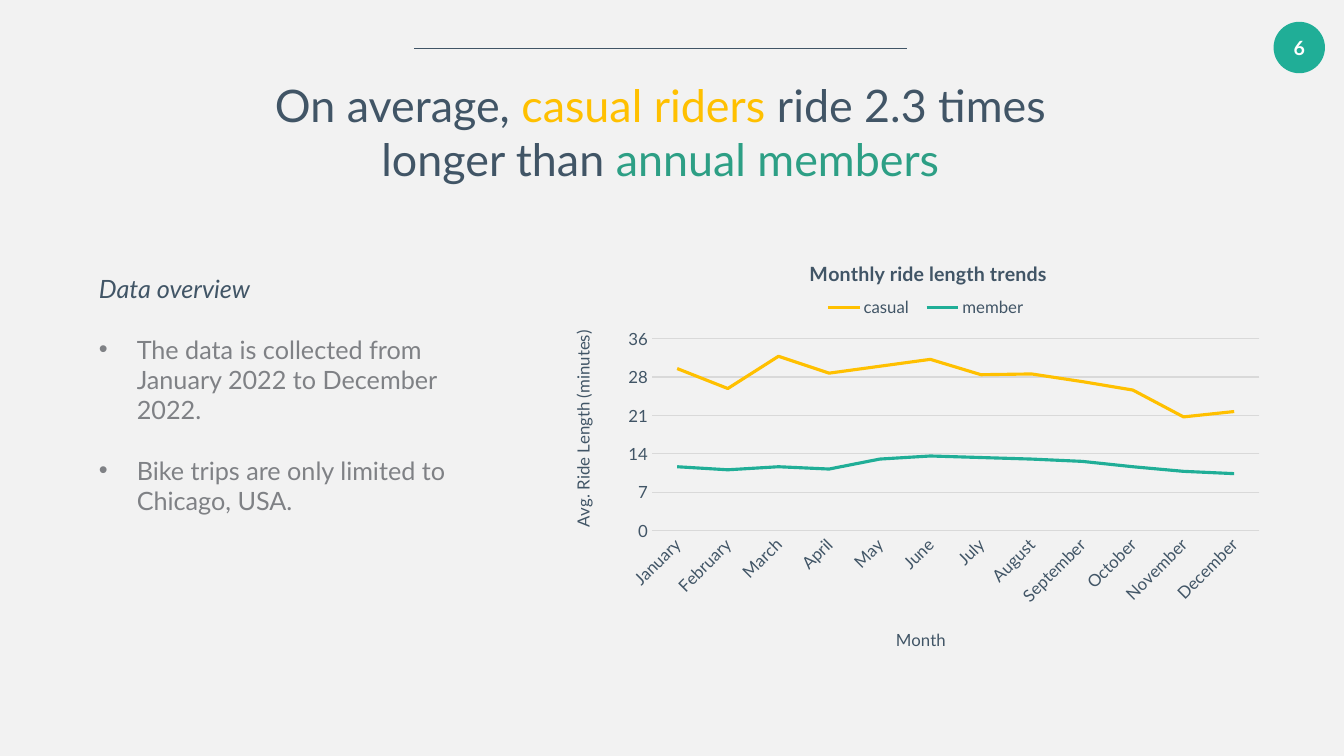
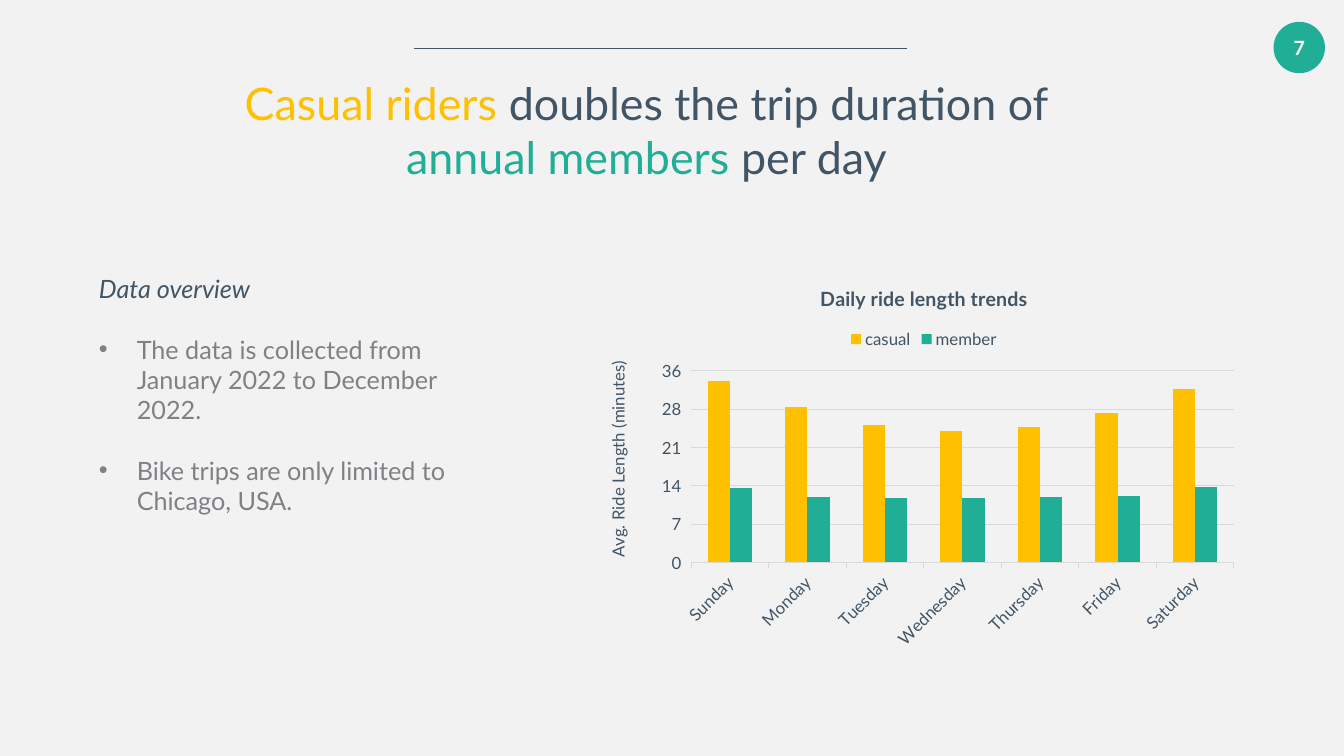
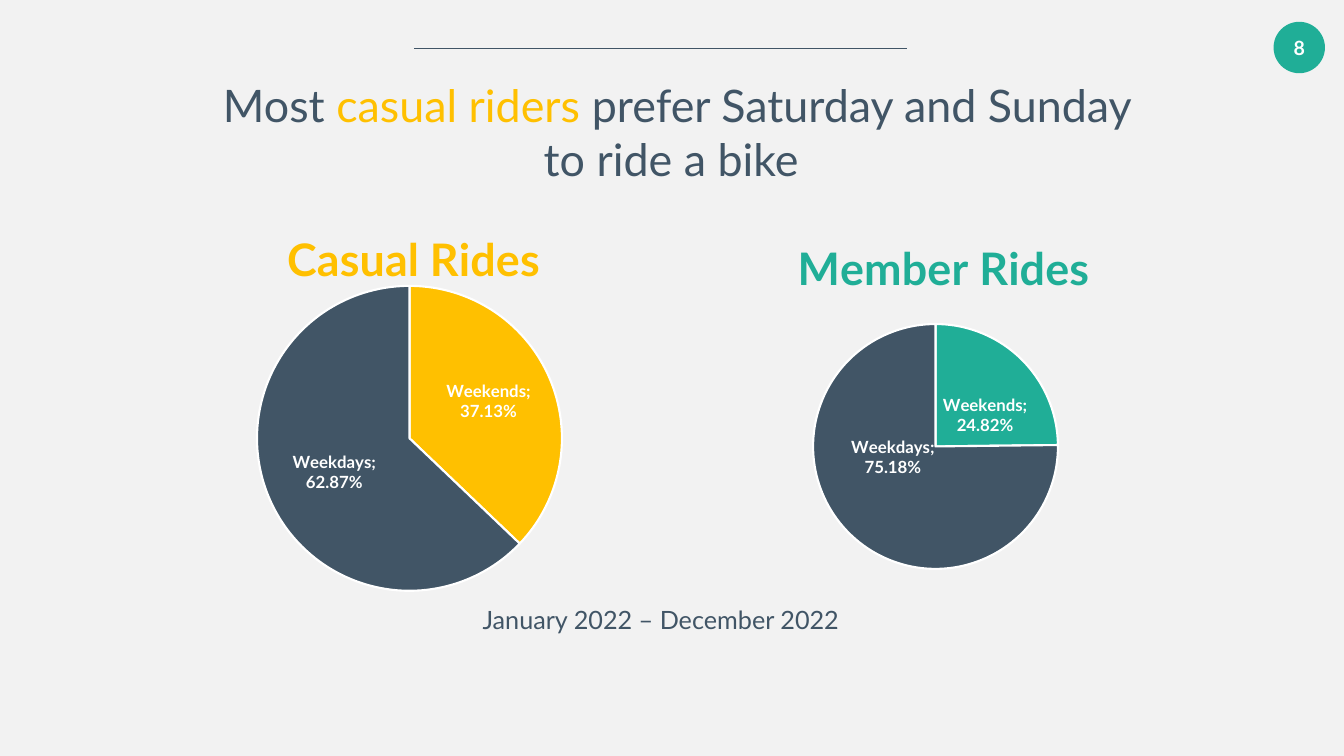
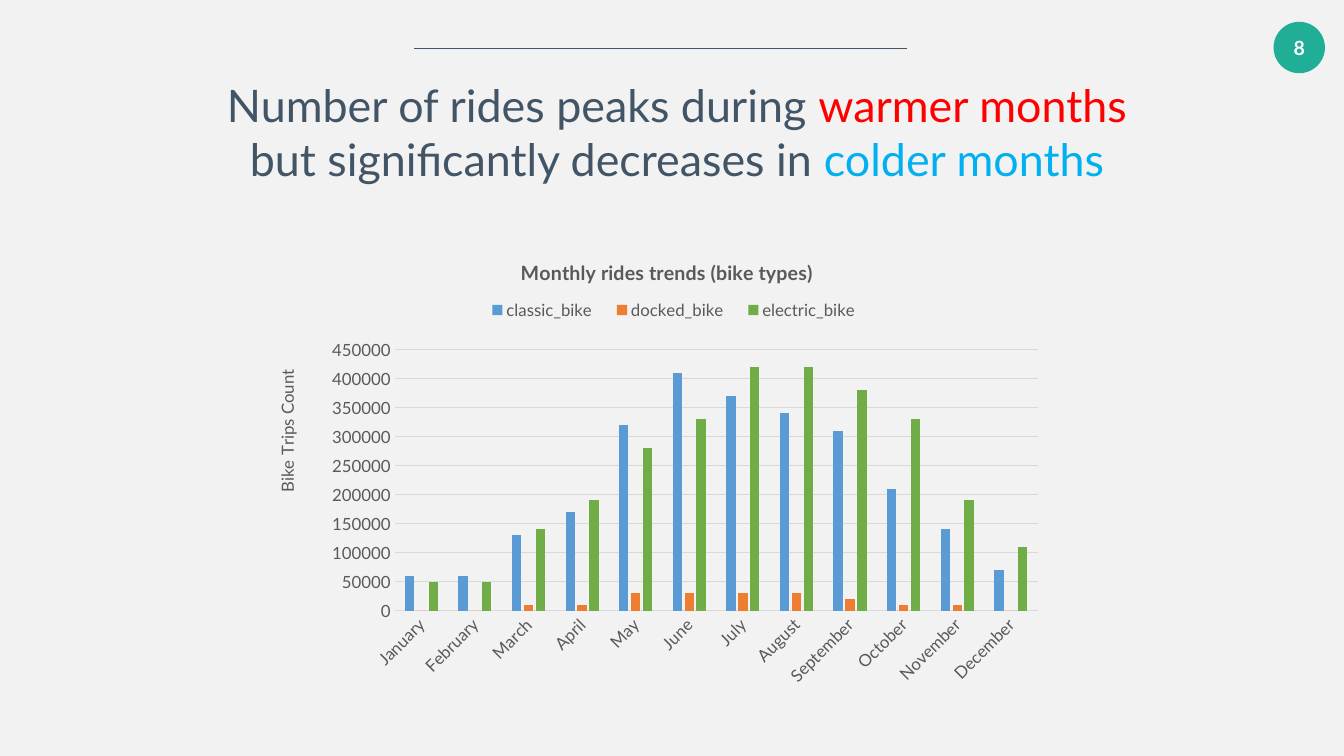
"""Build four slides on the ride habits of casual riders and annual members."""
from copy import deepcopy

from lxml import etree
from pptx import Presentation
from pptx.chart.data import CategoryChartData
from pptx.dml.color import RGBColor
from pptx.enum.chart import XL_CHART_TYPE, XL_LABEL_POSITION, XL_LEGEND_POSITION, XL_TICK_MARK
from pptx.enum.shapes import MSO_CONNECTOR, MSO_SHAPE
from pptx.enum.text import MSO_ANCHOR, PP_ALIGN
from pptx.oxml.ns import qn
from pptx.util import Pt

LINE, COLUMN, PIE = XL_CHART_TYPE.LINE, XL_CHART_TYPE.COLUMN_CLUSTERED, XL_CHART_TYPE.PIE
TICK_NONE, TICK_OUT = XL_TICK_MARK.NONE, XL_TICK_MARK.OUTSIDE
LEGEND_TOP = XL_LEGEND_POSITION.TOP
LABEL_CENTER = XL_LABEL_POSITION.CENTER
CENTER, LEFT, MIDDLE = PP_ALIGN.CENTER, PP_ALIGN.LEFT, MSO_ANCHOR.MIDDLE

FONT = "Lato"
COLORS = {
    "paper": "F2F2F2", "slate": "415566", "yellow": "FFC000", "teal": "20AE97",
    "green": "2D9F85", "gray": "7F8185", "dark": "595959", "grid": "D9D9D9",
    "white": "FFFFFF", "red": "FF0000", "sky": "00B0F0",
    "blue": "5B9BD5", "orange": "ED7D31", "leaf": "70AD47",
}

MONTHS = ["January", "February", "March", "April", "May", "June", "July",
          "August", "September", "October", "November", "December"]
DAYS = ["Sunday", "Monday", "Tuesday", "Wednesday", "Thursday", "Friday", "Saturday"]
OVERVIEW = ["The data is collected from January 2022 to December 2022.",
            "Bike trips are only limited to Chicago, USA."]
OVERVIEW_AT = (63.6, 191.9, 298, 181.5)
PERIOD = "January 2022 – December 2022"
PERIOD_AT = (126, 428.2, 692, 29)
MINUTES = {"title": "Avg. Ride Length (minutes)", "top": 0.025, "unit": 0.005, "format": "[m]"}
TRIPS = {"title": "Bike Trips Count", "top": 450000, "unit": 50000, "format": "General"}

MONTHLY_LENGTH = {
    "kind": LINE, "at": (404.6, 169.2, 504.7, 303.1), "title": "Monthly ride length trends",
    "ink": "slate", "categories": MONTHS, "axis": MINUTES, "category_title": "Month",
    "tick": TICK_NONE,
    "places": {"plot": (12.1, 24, 86, 45.2), "title": (33.9, 4.4),
               "legend": (35.3, 13.7, 31.1, 5.7), "value": (0.2, 21.3),
               "category": (46.2, 91.3)},
    "series": [
        ("casual", "yellow", [0.0211, 0.0185, 0.0227, 0.0205, 0.0214, 0.0223,
                              0.0203, 0.0204, 0.0194, 0.0183, 0.0148, 0.0155]),
        ("member", "teal", [0.0083, 0.0079, 0.0083, 0.008, 0.0093, 0.0097,
                            0.0095, 0.0093, 0.009, 0.0083, 0.0077, 0.0074]),
    ],
}
DAILY_LENGTH = {
    "kind": COLUMN, "at": (429.1, 192.2, 461.5, 276.5), "title": "Daily ride length trends",
    "ink": "slate", "categories": DAYS, "axis": MINUTES, "tick": TICK_OUT,
    "gap": 150, "overlap": 0,
    "places": {"plot": (14, 26.3, 84, 49.5), "title": (33.4, 3.1), "legend": (37.9, 14.5),
               "value": (0.3, 22.9)},
    "series": [
        ("casual", "yellow", [0.0237, 0.0203, 0.0179, 0.0172, 0.0177, 0.0195, 0.0226]),
        ("member", "teal", [0.0097, 0.0085, 0.0084, 0.0084, 0.0085, 0.0087, 0.0098]),
    ],
}
BIKE_TYPES = {
    "kind": COLUMN, "at": (191.5, 176.4, 560.9, 320.4),
    "title": "Monthly rides trends (bike types)", "ink": "dark", "categories": MONTHS,
    "axis": TRIPS, "tick": TICK_NONE, "gap": 219, "overlap": -27,
    "places": {"plot": (16.1, 22.9, 81.9, 58.2), "title": (31.7, 1.6),
               "legend": (26.1, 11.4, 51.1, 5.3), "value": (0.5, 26.6)},
    "series": [
        ("classic_bike", "blue", [60000, 60000, 130000, 170000, 320000, 410000,
                                  370000, 340000, 310000, 210000, 140000, 70000]),
        ("docked_bike", "orange", [0, 0, 10000, 10000, 30000, 30000,
                                   30000, 30000, 20000, 10000, 10000, 0]),
        ("electric_bike", "leaf", [50000, 50000, 140000, 190000, 280000, 330000,
                                   420000, 420000, 380000, 330000, 190000, 110000]),
    ],
}
CASUAL_PIE = {
    "kind": PIE, "at": (113.8, 136.8, 357.8, 297.4), "title": "Casual Rides", "ink": "yellow",
    "places": {"plot": (19.5, 22.6, 60.9, 73.4), "title": (23.9, 6.6)},
    "shares": [0.3713, 0.6287], "nudges": [(1.8, -1.9), (-1, 0.8)],
}
MEMBER_PIE = {
    "kind": PIE, "at": (472.3, 136.8, 393.1, 297.4), "title": "Member Rides", "ink": "teal",
    "places": {"plot": (27.6, 31.8, 44.5, 58.9), "title": (23.3, 8.8)},
    "shares": [0.2482, 0.7518], "nudges": [(1.2, 2.8), (0.1, -7.9)],
}

SLIDES = [
    {"number": "6", "title_at": (165, 52, 613.5, 85), "overview": True,
     "title": [("On average, ", "slate"), ("casual riders ", "yellow"),
               ("ride 2.3 times longer than ", "slate"), ("annual members", "green")],
     "charts": [MONTHLY_LENGTH]},
    {"number": "7", "title_at": (124.5, 50.8, 674.5, 85), "overview": True,
     "title": [("Casual riders ", "yellow"), ("doubles the trip duration of ", "slate"),
               ("annual members ", "teal"), ("per day", "slate")],
     "charts": [DAILY_LENGTH]},
    {"number": "8", "title_at": (137.6, 52, 692, 85), "period": True,
     "title": [("Most ", "slate"), ("casual riders ", "yellow"),
               ("prefer Saturday and Sunday to ride a bike ", "slate")],
     "charts": [CASUAL_PIE, MEMBER_PIE]},
    {"number": "8", "title_at": (137.6, 52, 692, 85),
     "title": [("Number of rides peaks during ", "slate"), ("warmer months ", "red"),
               ("but significantly decreases in ", "slate"), ("colder months", "sky")],
     "charts": [BIKE_TYPES]},
]


def rgb(name):
    return RGBColor.from_string(COLORS[name])


def points(lengths):
    return [Pt(length) for length in lengths]


def style(font, size, color, **extra):
    for key, value in {"name": FONT, "size": Pt(size), **extra}.items():
        setattr(font, key, value)
    font.color.rgb = rgb(color)


def paint(target, color):
    target.fill.solid()
    target.fill.fore_color.rgb = rgb(color)


def add_spans(para, spans, size, align=CENTER, **extra):
    para.alignment = align
    for text, color in spans:
        span = para.add_run()
        span.text = text
        style(span.font, size, color, **extra)


def add_text(page, at, spans, size, align=CENTER, **extra):
    frame = page.shapes.add_textbox(*points(at)).text_frame
    frame.word_wrap = True
    add_spans(frame.paragraphs[0], spans, size, align, **extra)
    return frame


def add_overview(page):
    frame = add_text(page, OVERVIEW_AT, [("Data overview", "slate")], 18, LEFT, italic=True)
    for text in OVERVIEW:
        para = frame.add_paragraph()
        para.space_before = Pt(21.6)
        add_spans(para, [(text, "gray")], 18, LEFT)
        properties = para._p.get_or_add_pPr()
        properties.set("marL", str(Pt(27)))
        properties.set("indent", str(Pt(-27)))
        etree.SubElement(properties, qn("a:buFont"), typeface="Arial")
        etree.SubElement(properties, qn("a:buChar"), char="•")


def add_frame(page, number):
    paint(page.background, "paper")
    badge = page.shapes.add_shape(MSO_SHAPE.OVAL, *points((909.7, 15.6, 36.7, 36.7)))
    badge.shadow.inherit = False
    paint(badge, "teal")
    badge.line.fill.background()
    frame = badge.text_frame
    frame.vertical_anchor = MIDDLE
    frame.margin_left = frame.margin_right = 0
    add_spans(frame.paragraphs[0], [(number, "white")], 14, bold=True)
    rule = page.shapes.add_connector(MSO_CONNECTOR.STRAIGHT, *points((296, 34.5, 648, 34.5)))
    rule.line.color.rgb = rgb("slate")
    rule.line.width = Pt(1)
    etree.SubElement(rule._element.spPr, qn("a:effectLst"))


def make_layout(percents, inner=False, modes=True):
    layout = etree.Element(qn("c:layout"))
    manual = etree.SubElement(layout, qn("c:manualLayout"))
    if inner:
        etree.SubElement(manual, qn("c:layoutTarget"), val="inner")
    if modes:
        for tag in ("c:xMode", "c:yMode"):
            etree.SubElement(manual, qn(tag), val="edge")
    for tag, percent in zip(("c:x", "c:y", "c:w", "c:h"), percents):
        etree.SubElement(manual, qn(tag), val=f"{percent / 100:.3f}")
    return layout


def place_part(part, percents, after=None):
    for old in part.findall(qn("c:layout")):
        part.remove(old)
    if after:
        part.find(qn(after)).addnext(make_layout(percents))
    else:
        part.insert(0, make_layout(percents, inner=True))


def add_title(owner, text, size, color, bold):
    frame = owner.text_frame
    frame.text = text
    style(frame.paragraphs[0].runs[0].font, size, color, bold=bold)


def style_axes(chart, details):
    ink, scale = details["ink"], details["axis"]
    values, categories = chart.value_axis, chart.category_axis
    for axis in (values, categories):
        style(axis.tick_labels.font, 12, ink)
        axis.major_tick_mark = details["tick"]
        axis.minor_tick_mark = TICK_NONE
    values.format.line.fill.background()
    for key, value in {"minimum_scale": 0, "maximum_scale": scale["top"],
                       "major_unit": scale["unit"], "has_major_gridlines": True}.items():
        setattr(values, key, value)
    for line in (categories.format.line, values.major_gridlines.format.line):
        line.color.rgb = rgb("grid")
        line.width = Pt(0.75)
    values.tick_labels.number_format = scale["format"]
    values.tick_labels.number_format_is_linked = False
    add_title(values.axis_title, scale["title"], 12, ink, False)
    space = chart._chartSpace
    for query, turn in ((".//c:catAx/c:txPr/a:bodyPr", -45),
                        (".//c:valAx/c:title/c:tx/c:rich/a:bodyPr", -90)):
        body = space.xpath(query)[0]
        body.set("rot", str(turn * 60000))
        body.set("vert", "horz")
    place_part(space.xpath(".//c:valAx/c:title")[0], details["places"]["value"], "c:tx")
    if "category_title" in details:
        add_title(categories.axis_title, details["category_title"], 12, ink, False)
        place_part(space.xpath(".//c:catAx/c:title")[0], details["places"]["category"], "c:tx")


def style_series(chart, details):
    plot = chart.plots[0]
    if details["kind"] == COLUMN:
        plot.gap_width, plot.overlap = details["gap"], details["overlap"]
    for series, (_, color, _) in zip(plot.series, details["series"]):
        if details["kind"] == LINE:
            series.smooth = False
            series.format.line.color.rgb = rgb(color)
            series.format.line.width = Pt(2.25)
        else:
            paint(series.format, color)
    chart.has_legend = True
    chart.legend.position = LEGEND_TOP
    chart.legend.include_in_layout = False
    style(chart.legend.font, 12, details["ink"])
    place_part(chart._chartSpace.xpath(".//c:legend")[0], details["places"]["legend"],
               "c:legendPos")


def style_pie(chart, details):
    chart.has_legend = False
    series = chart.plots[0].series[0]
    for index, color in enumerate((details["ink"], "slate")):
        look = series.points[index].format
        paint(look, color)
        look.line.color.rgb = rgb("white")
        look.line.width = Pt(1.5)
    labels = series.data_labels
    for key, value in {"show_value": True, "show_category_name": True,
                       "number_format": "0.00%", "number_format_is_linked": False,
                       "position": LABEL_CENTER}.items():
        setattr(labels, key, value)
    style(labels.font, 12, "white", bold=True)
    holder = chart._chartSpace.xpath(".//c:ser/c:dLbls")[0]
    shared = [part for part in holder if part.tag != qn("c:showLeaderLines")]
    for index, nudge in enumerate(details["nudges"]):
        label = etree.Element(qn("c:dLbl"))
        etree.SubElement(label, qn("c:idx"), val=str(index))
        label.append(make_layout(nudge, modes=False))
        label.extend([deepcopy(part) for part in shared])
        holder.insert(index, label)


def add_chart(page, details):
    is_pie = details["kind"] == PIE
    data = CategoryChartData()
    data.categories = ["Weekends", "Weekdays"] if is_pie else details["categories"]
    if is_pie:
        data.add_series("Series 1", details["shares"])
    else:
        for name, _, values in details["series"]:
            data.add_series(name, values)
    chart = page.shapes.add_chart(details["kind"], *points(details["at"]), data).chart
    style(chart.font, 12, details["ink"])
    chart.plots[0].vary_by_categories = is_pie
    add_title(chart.chart_title, details["title"], 32 if is_pie else 14, details["ink"], True)
    space = chart._chartSpace
    place_part(space.xpath("c:chart/c:title")[0], details["places"]["title"], "c:tx")
    place_part(space.xpath("c:chart/c:plotArea")[0], details["places"]["plot"])
    clear = etree.Element(qn("c:spPr"))
    etree.SubElement(clear, qn("a:noFill"))
    etree.SubElement(etree.SubElement(clear, qn("a:ln")), qn("a:noFill"))
    space.find(qn("c:chart")).addnext(clear)
    if is_pie:
        style_pie(chart, details)
    else:
        style_axes(chart, details)
        style_series(chart, details)


def main():
    deck = Presentation()
    deck.slide_width, deck.slide_height = Pt(960), Pt(540)
    for content in SLIDES:
        page = deck.slides.add_slide(deck.slide_layouts[6])
        add_frame(page, content["number"])
        add_text(page, content["title_at"], content["title"], 32)
        if content.get("overview"):
            add_overview(page)
        if content.get("period"):
            add_text(page, PERIOD_AT, [(PERIOD, "slate")], 18)
        for details in content["charts"]:
            add_chart(page, details)
    deck.save("out.pptx")


if __name__ == "__main__":
    main()
